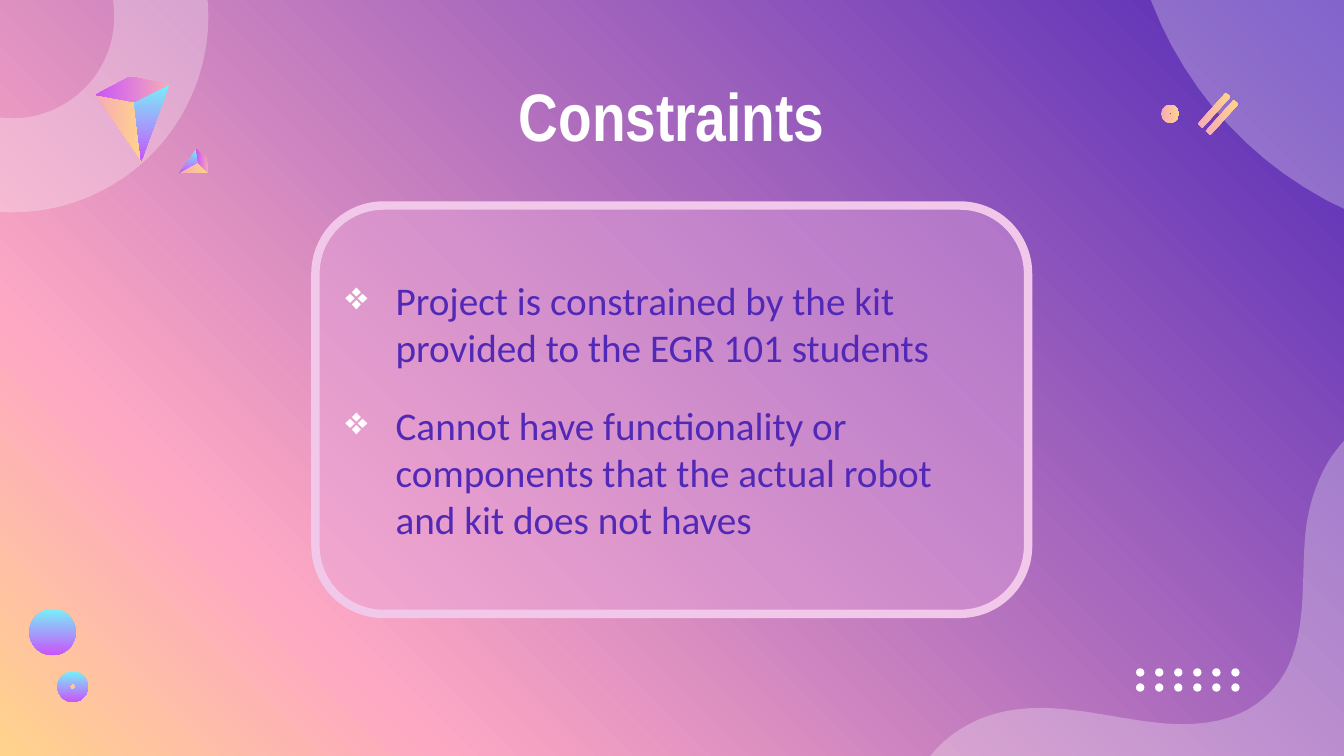
from copy import deepcopy
from dataclasses import dataclass
from typing import NamedTuple

from lxml import etree
from pptx import Presentation
from pptx.dml.color import RGBColor
from pptx.dml.fill import FillFormat
from pptx.enum.shapes import MSO_SHAPE
from pptx.enum.text import MSO_ANCHOR, PP_ALIGN
from pptx.oxml.ns import qn
from pptx.shapes.autoshape import Shape
from pptx.slide import Slide
from pptx.util import Cm, Pt

OVAL, DONUT, ROUNDED = MSO_SHAPE.OVAL, MSO_SHAPE.DONUT, MSO_SHAPE.ROUNDED_RECTANGLE
CENTER, LEFT = PP_ALIGN.CENTER, PP_ALIGN.LEFT
MIDDLE = MSO_ANCHOR.MIDDLE
CURVE_STEPS = 24

Point = tuple[float, float]


class Gradient(NamedTuple):
    stops: tuple[tuple[float, str], ...]
    clockwise_angle: int


@dataclass(frozen=True)
class Theme:
    white: str = "FFFFFF"
    indigo: str = "5229B7"
    panel: str = "E9ABE0"
    panel_edge: str = "F1C7EA"
    veil_opacity: int = 28
    panel_opacity: int = 40
    title_font: str = "Arial Narrow"
    body_font: str = "Calibri"
    title_size: int = 48
    body_size: int = 28
    backdrop: Gradient = Gradient(((0, "5229B7"), (0.79, "FEA8C3"), (1, "FFD38B")), 135)
    peach: Gradient = Gradient(((0, "F7ABB7"), (1, "FFD38B")), 0)
    sky: Gradient = Gradient(((0, "78F0F9"), (1, "C954FA")), 90)
    orchid: Gradient = Gradient(((0, "F7ABB7"), (1, "C954FA")), 180)


THEME = Theme()


class Round(NamedTuple):
    left: float
    top: float
    diameter: float
    paint: Gradient | str
    thickness: float | None = None
    opacity: int = 100


class Facet(NamedTuple):
    outline: list[Point]
    paint: Gradient | str
    opacity: int = 100


def paint_gradient(fill: FillFormat, gradient: Gradient) -> None:
    fill.gradient_angle = (360 - gradient.clockwise_angle) % 360
    for stop, (position, color) in zip(fill.gradient_stops, gradient.stops):
        stop.position = position
        stop.color.rgb = RGBColor.from_string(color)


def paint_shape(shape: Shape, paint: Gradient | str, opacity: int = 100) -> None:
    shape.shadow.inherit = False
    shape.line.fill.background()
    if isinstance(paint, Gradient):
        shape.fill.gradient()
        paint_gradient(shape.fill, paint)
        return
    shape.fill.solid()
    shape.fill.fore_color.rgb = RGBColor.from_string(paint)
    if opacity < 100:
        color = shape.element.find(".//" + qn("a:srgbClr"))
        etree.SubElement(color, qn("a:alpha"), val=str(opacity * 1000))


def paint_backdrop(slide: Slide) -> None:
    fill = slide.background.fill
    fill.gradient()
    stop_list = slide.element.find(".//" + qn("a:gsLst"))
    stop_list.append(deepcopy(stop_list[-1]))
    paint_gradient(fill, THEME.backdrop)


def draw_round(slide: Slide, item: Round) -> None:
    preset = OVAL if item.thickness is None else DONUT
    shape = slide.shapes.add_shape(
        preset, Cm(item.left), Cm(item.top), Cm(item.diameter), Cm(item.diameter))
    if item.thickness is not None:
        shape.adjustments[0] = item.thickness
    paint_shape(shape, item.paint, item.opacity)


def draw_facet(slide: Slide, facet: Facet) -> None:
    start, *others = [(Cm(x), Cm(y)) for x, y in facet.outline]
    builder = slide.shapes.build_freeform(*start)
    builder.add_line_segments(others, close=True)
    paint_shape(builder.convert_to_shape(), facet.paint, facet.opacity)


def trace_curve(points: list[Point]) -> list[Point]:
    traced = [points[0]]
    for first in range(0, len(points) - 1, 3):
        segment = points[first:first + 4]
        for step in range(1, CURVE_STEPS + 1):
            t = step / CURVE_STEPS
            weights = ((1 - t) ** 3, 3 * t * (1 - t) ** 2, 3 * t * t * (1 - t), t ** 3)
            traced.append((sum(w * x for w, (x, _) in zip(weights, segment)),
                           sum(w * y for w, (_, y) in zip(weights, segment))))
    return traced


def gem(left: Point, center: Point, tip: Point, right: Point, back: Point,
        paints: tuple[Gradient, Gradient, Gradient]) -> list[Facet]:
    outlines = [left, center, tip], [tip, center, right], [right, center, left, back]
    return [Facet(outline, paint) for outline, paint in zip(outlines, paints)]


def write_title(slide: Slide, title: str) -> None:
    frame = slide.shapes.add_textbox(Cm(2.67), Cm(1.98), Cm(28.52), Cm(1.8)).text_frame
    frame.word_wrap = True
    frame.vertical_anchor = MIDDLE
    frame.margin_left = frame.margin_right = Cm(0.33)
    frame.margin_top = frame.margin_bottom = Cm(0.33)
    heading = frame.paragraphs[0]
    heading.text = title
    heading.alignment = CENTER
    heading.font.name = THEME.title_font
    heading.font.size = Pt(THEME.title_size)
    heading.font.bold = True
    heading.font.color.rgb = RGBColor.from_string(THEME.white)


def write_panel(slide: Slide, constraints: list[str]) -> None:
    panel = slide.shapes.add_shape(ROUNDED, Cm(7.95), Cm(5.18), Cm(17.96), Cm(10.29))
    paint_shape(panel, THEME.panel, THEME.panel_opacity)
    panel.line.color.rgb = RGBColor.from_string(THEME.panel_edge)
    panel.line.width = Pt(6)
    frame = panel.text_frame
    frame.word_wrap = True
    frame.vertical_anchor = MIDDLE
    for index, constraint in enumerate(constraints):
        entry = frame.add_paragraph() if index else frame.paragraphs[0]
        entry.text = constraint
        entry.alignment = LEFT
        entry.space_after = Pt(22)
        properties = entry._p.get_or_add_pPr()
        properties.set("marL", str(Cm(1.27)))
        properties.set("indent", str(-Cm(1.27)))
        bullet_color = etree.SubElement(properties, qn("a:buClr"))
        etree.SubElement(bullet_color, qn("a:srgbClr"), val=THEME.white)
        etree.SubElement(properties, qn("a:buChar"), char="❖")
        entry.font.name = THEME.body_font
        entry.font.size = Pt(THEME.body_size)
        entry.font.color.rgb = RGBColor.from_string(THEME.indigo)


WAVE = [(34.57, 10.67), (34.24, 10.77), (33.93, 11), (33.71, 11.3),
        (33.27, 11.84), (33.02, 12.57), (32.92, 13.26),
        (32.74, 14.63), (33.07, 16.38), (32, 17.45),
        (31.34, 18.14), (30.4, 18.29), (29.49, 18.24),
        (27.91, 18.14), (26.37, 17.5), (24.79, 18.08),
        (24.13, 18.34), (23.52, 18.8), (23.19, 19.46),
        (22.99, 19.86), (22.91, 20.32), (22.91, 20.75)]
CORNER = [(28.52, -4.93), (27.66, 0.3), (31.19, 5.21), (36.42, 6.05)]
SLASH = [(30.18, 3.12), (30.89, 2.34), (31.01, 2.44), (30.3, 3.23)]

veils = [
    Facet(trace_curve(WAVE) + [(34.57, 20.75)], THEME.white, THEME.veil_opacity),
    Facet(trace_curve(CORNER) + [(36.68, 6.1), (38.28, -3.66)],
          THEME.white, THEME.veil_opacity),
]
large_gem = gem((2.41, 2.39), (3.38, 2.57), (3.56, 4.06), (4.27, 2.13), (3.28, 1.93),
                (THEME.peach, THEME.sky, THEME.orchid))
small_gem = gem((4.95, 3.76), (5, 4.11), (4.52, 4.37), (5.26, 4.37), (5.21, 4.01),
                (THEME.sky, THEME.peach, THEME.orchid))
slashes = [Facet([(x + 0.2 * n, y + 0.18 * n) for x, y in SLASH], THEME.peach)
           for n in range(2)]
rounds = [
    Round(-4.62, -4.52, 9.87, THEME.white, 0.24, THEME.veil_opacity),
    Round(1.45, 16.92, 0.77, THEME.sky, 0.4),
    Round(0.74, 15.34, 1.17, THEME.sky),
    Round(29.26, 2.64, 0.46, THEME.peach, 0.44),
]
dots = [Round(28.63 + 0.48 * column, 16.84 + 0.38 * row, 0.21, THEME.white)
        for row in range(2) for column in range(6)]

presentation = Presentation()
presentation.slide_width, presentation.slide_height = Cm(33.87), Cm(19.05)
slide = presentation.slides.add_slide(presentation.slide_layouts[6])
paint_backdrop(slide)
for item in rounds + dots:
    draw_round(slide, item)
for facet in veils + large_gem + small_gem + slashes:
    draw_facet(slide, facet)
write_title(slide, "Constraints")
write_panel(slide, [
    "Project is constrained by the kit provided to the EGR 101 students",
    "Cannot have functionality or components that the actual robot and kit does not haves",
])
presentation.save("out.pptx")
